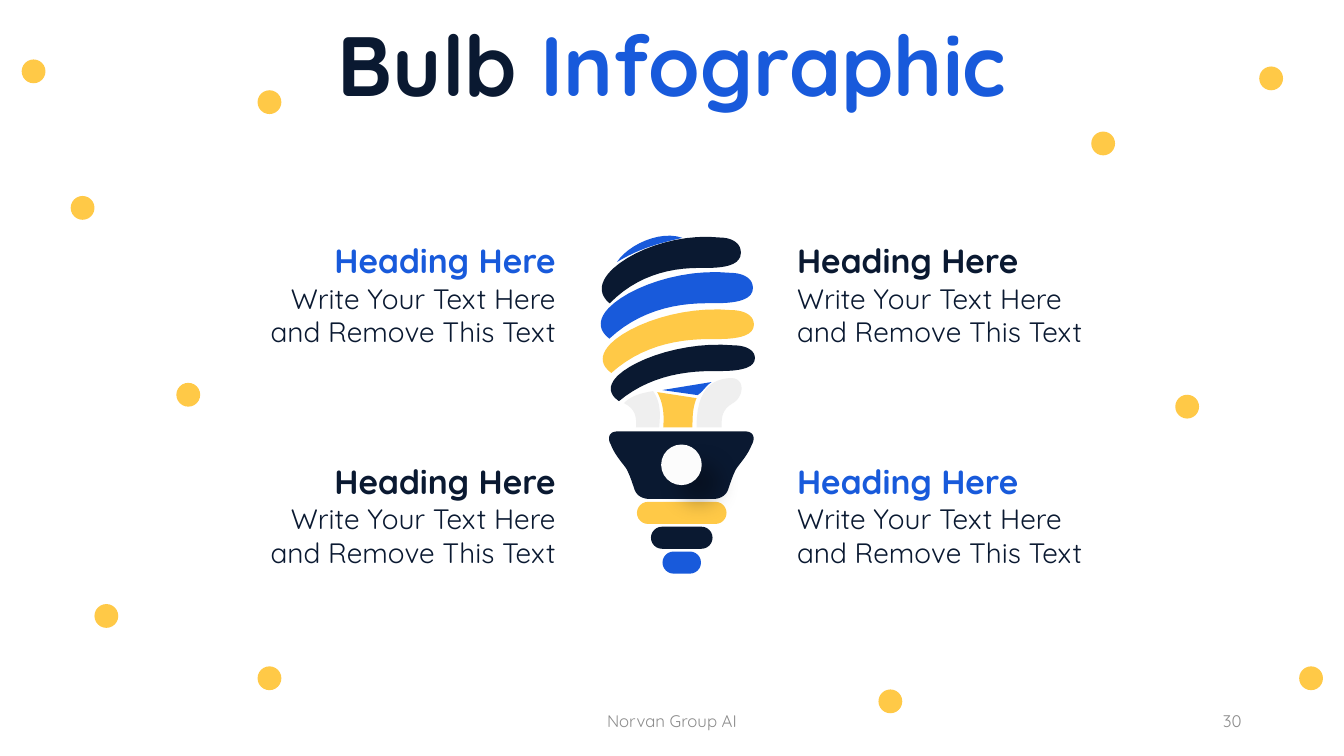
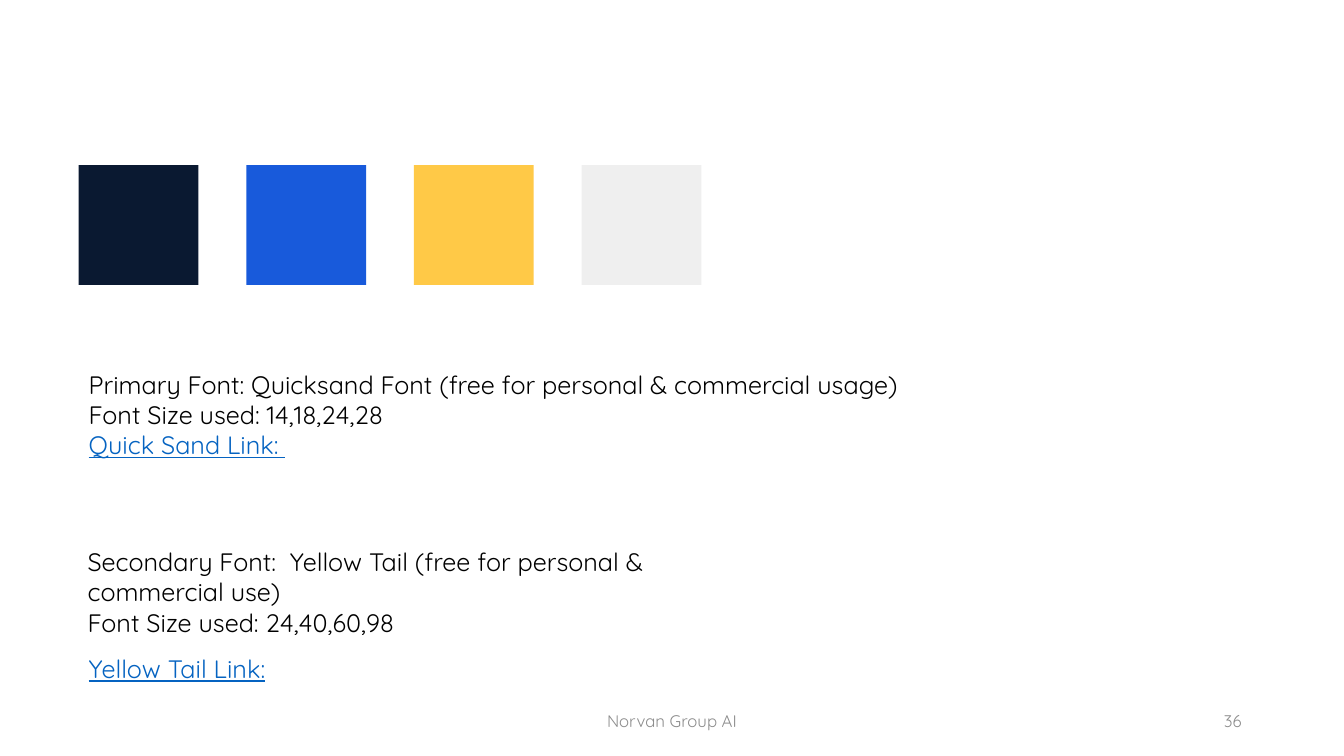
from dataclasses import dataclass

from lxml import etree
from pptx import Presentation
from pptx.dml.color import RGBColor
from pptx.enum.shapes import MSO_SHAPE
from pptx.enum.text import MSO_ANCHOR, MSO_AUTO_SIZE, PP_ALIGN
from pptx.oxml.ns import qn
from pptx.shapes.autoshape import Shape
from pptx.slide import Slide
from pptx.util import Pt

# Shared style
NAVY = RGBColor(0x0A, 0x19, 0x31)
BLUE = RGBColor(0x18, 0x5A, 0xDB)
GOLD = RGBColor(0xFF, 0xC9, 0x47)
PALE = RGBColor(0xEF, 0xEF, 0xEF)
PEARL = RGBColor(0xFC, 0xFC, 0xFC)
GRAY = RGBColor(0x8C, 0x8C, 0x8C)
BLACK = RGBColor(0x00, 0x00, 0x00)
LINK = RGBColor(0x05, 0x63, 0xC1)

LEFT, MID, RIGHT = PP_ALIGN.LEFT, PP_ALIGN.CENTER, PP_ALIGN.RIGHT
TOP, CENTER = MSO_ANCHOR.TOP, MSO_ANCHOR.MIDDLE
GROW, FIXED = MSO_AUTO_SIZE.SHAPE_TO_FIT_TEXT, MSO_AUTO_SIZE.NONE
RECT, OVAL, PILL = MSO_SHAPE.RECTANGLE, MSO_SHAPE.OVAL, MSO_SHAPE.ROUNDED_RECTANGLE

FONT = "Quicksand"
GRID = 0.72  # points per outline unit
STEPS = 12  # line segments per curve

Row = tuple[int, ...]
Dots = list[tuple[float, float]]


@dataclass(frozen=True)
class Box:
    left: float
    top: float
    width: float
    height: float

    def place(self) -> tuple[Pt, Pt, Pt, Pt]:
        return Pt(self.left), Pt(self.top), Pt(self.width), Pt(self.height)


@dataclass(frozen=True)
class Run:
    text: str
    size: float
    color: RGBColor
    bold: bool = False
    line: bool = False


@dataclass(frozen=True)
class Part:
    """A closed outline: rows of two numbers are lines, rows of six are curves."""
    color: RGBColor
    rows: tuple[Row, ...]


@dataclass(frozen=True)
class Coil:
    color: RGBColor
    box: Box


@dataclass(frozen=True)
class Note:
    left: float
    top: float
    align: PP_ALIGN
    color: RGBColor


# Drawing helpers
def paint(shape: Shape, color: RGBColor) -> None:
    shape.shadow.inherit = False
    shape.fill.solid()
    shape.fill.fore_color.rgb = color
    shape.line.fill.background()


def draw(slide: Slide, kind: MSO_SHAPE, box: Box, color: RGBColor) -> Shape:
    shape = slide.shapes.add_shape(kind, *box.place())
    paint(shape, color)
    return shape


def write(slide: Slide, box: Box, lines: list[list[Run]], align: PP_ALIGN = LEFT,
          wrap: bool = True, size: MSO_AUTO_SIZE = GROW,
          anchor: MSO_ANCHOR = TOP) -> None:
    frame = slide.shapes.add_textbox(*box.place()).text_frame
    look = {"word_wrap": wrap, "auto_size": size, "vertical_anchor": anchor}
    for name, value in look.items():
        setattr(frame, name, value)
    for index, runs in enumerate(lines):
        para = frame.add_paragraph() if index else frame.paragraphs[0]
        para.alignment = align
        for item in runs:
            run = para.add_run()
            run.text = item.text
            style = {"name": FONT, "size": Pt(item.size),
                     "bold": item.bold, "underline": item.line}
            for name, value in style.items():
                setattr(run.font, name, value)
            run.font.color.rgb = item.color


def trace(rows: tuple[Row, ...]) -> Dots:
    """Turn lines and cubic curves into points."""
    dots = [rows[0]]
    for row in rows[1:]:
        if len(row) == 2:
            dots.append(row)
            continue
        a, b, c, d = dots[-1], row[:2], row[2:4], row[4:]
        for step in range(1, STEPS + 1):
            t = step / STEPS
            u = 1 - t
            dots.append(tuple(
                u**3 * p + 3 * u * u * t * q + 3 * u * t * t * r + t**3 * s
                for p, q, r, s in zip(a, b, c, d)))
    return dots


def fit(dots: Dots, box: Box) -> Dots:
    """Stretch an outline to fill a box."""
    xs, ys = zip(*dots)
    wide = box.width / (max(xs) - min(xs))
    tall = box.height / (max(ys) - min(ys))
    return [(box.left + (x - min(xs)) * wide, box.top + (y - min(ys)) * tall)
            for x, y in dots]


def carve(slide: Slide, dots: Dots, color: RGBColor) -> None:
    first, *rest = [(Pt(x * GRID), Pt(y * GRID)) for x, y in dots]
    pen = slide.shapes.build_freeform(*first, scale=1.0)
    pen.add_line_segments(rest, close=True)
    paint(pen.convert_to_shape(), color)


def shade(shape: Shape) -> None:
    effects = shape._element.spPr.find(qn("a:effectLst"))
    outer = etree.SubElement(effects, qn("a:outerShdw"), blurRad=str(Pt(15)),
                             dist=str(Pt(18)), dir="2700000", algn="tl",
                             rotWithShape="0")
    tint = etree.SubElement(outer, qn("a:srgbClr"), val=str(BLACK))
    etree.SubElement(tint, qn("a:alpha"), val="30000")


def footer(slide: Slide, page: int) -> None:
    for text, left, width, align in (("Norvan Group AI", 318, 324, MID),
                                     (str(page), 678, 216, RIGHT)):
        write(slide, Box(left, 500.5, width, 28.75), [[Run(text, 12, GRAY)]],
              align, size=FIXED, anchor=CENTER)


# Bulb slide data
DOT = 17
DOTS = ((59, 148.5), (192.5, 73), (24, 51), (636, 501), (936.5, 484.5),
        (788, 102.5), (848, 290.5), (908, 56), (192.5, 484.5),
        (134.5, 282), (76, 440))

AXIS = 487
RINGS = ((64, GOLD), (44, NAVY), (27.5, BLUE))

SWIRL = ((10, 66), (38, 40, 72, 31, 107, 31), (122, 31, 152, 32, 152, 16),
         (152, 4, 138, 1, 130, 1), (80, -4, 28, 16, 9, 36),
         (-4, 50, 2, 60, 10, 66))
COILS = (Coil(BLUE, Box(596, 270, 151, 66)), Coil(GOLD, Box(598, 307, 150, 63)),
         Coil(NAVY, Box(606, 342, 143, 56)), Coil(NAVY, Box(597, 235, 138, 66)))

PARTS = (
    # Neck
    Part(PALE, ((691, 424), (691, 385, 707, 376, 725, 375),
                (740, 375, 738, 394, 727, 400), (715, 407, 716, 416, 716, 424))),
    Part(GOLD, ((658, 424), (659, 411, 658, 400, 652, 389), (691, 395),
                (687, 405, 687, 414, 687, 424))),
    Part(PALE, ((631, 424), (632, 412, 629, 405, 619, 400),
                (627, 392, 637, 390, 648, 388), (656, 400, 655, 412, 654, 424))),
    # Tips of the coil behind
    Part(BLUE, ((612, 260), (623, 243, 655, 228, 677, 236),
                (655, 241, 635, 246, 612, 260))),
    Part(BLUE, ((706, 379), (657, 387), (692, 392), (697, 389, 700, 383, 706, 379))),
)
# Right half of the socket, from its axis
SOCKET = ((676, 428), (739, 428), (749, 428, 749, 436, 746, 441),
          (742, 452, 732, 462, 730, 466), (727, 472, 725, 478, 723, 484),
          (721, 492, 714, 495, 708, 495))

NOTES = (Note(562.25, 167.75, LEFT, NAVY), Note(562.25, 325.5, LEFT, BLUE),
         Note(166.25, 167.75, RIGHT, BLUE), Note(166.25, 325.5, RIGHT, NAVY))
WIDE, HEAD = 237.75, 177


def bulb(slide: Slide) -> None:
    for x, y in DOTS:
        draw(slide, OVAL, Box(x - DOT / 2, y - DOT / 2, DOT, DOT), GOLD)
    for index, (width, color) in enumerate(RINGS):
        box = Box(AXIS - width / 2, 358.5 + 17.75 * index, width, 15.75)
        draw(slide, PILL, box, color).adjustments[0] = 0.5
    for coil in COILS:
        carve(slide, fit(trace(SWIRL), coil.box), coil.color)
    for part in PARTS:
        carve(slide, trace(part.rows), part.color)
    half = trace(SOCKET)
    turn = 2 * half[0][0]
    carve(slide, half + [(turn - x, y) for x, y in reversed(half)], NAVY)
    shade(draw(slide, OVAL, Box(472.25, 317.5, 29, 29), PEARL))

    for note in NOTES:
        write(slide, Box(note.left, note.top + 29.5, WIDE, 55.5),
              [[Run("Write Your Text Here and Remove This Text", 20, NAVY)]],
              note.align)
        shift = WIDE - HEAD if note.align == RIGHT else 0
        write(slide, Box(note.left + shift, note.top, HEAD, 36),
              [[Run("Heading Here", 24, note.color, bold=True)]],
              note.align, wrap=False)
    write(slide, Box(200.25, 5.75, 559.5, 80),
          [[Run("Bulb", 60, NAVY, bold=True),
            Run(" Infographic", 60, BLUE, bold=True)]], MID)


# Style guide slide
def guide(slide: Slide) -> None:
    for index, color in enumerate((NAVY, BLUE, GOLD, PALE)):
        draw(slide, RECT, Box(56.25 + 119.75 * index, 118, 85.5, 85.5), color)
    write(slide, Box(56.25, 260, 880.5, 94.25), [
        [Run("Primary Font: Quicksand Font (free for personal & commercial usage)",
             18, BLACK)],
        [Run("Font Size used: 14,18,24,28", 18, BLACK)],
        [Run("Quick Sand Link: ", 18, LINK, line=True)]])
    write(slide, Box(56.25, 463, 239.75, 28.75),
          [[Run("Yellow Tail Link:", 18, LINK, line=True)]])
    write(slide, Box(55.5, 386.75, 472.25, 72.75), [
        [Run("Secondary Font:  Yellow Tail (free for personal & commercial use)",
             18, BLACK)],
        [Run("Font Size used: 24,40,60,98", 18, BLACK)]])


# Build the deck
deck = Presentation()
deck.slide_width, deck.slide_height = Pt(960), Pt(540)
for fill, page in ((bulb, 30), (guide, 36)):
    slide = deck.slides.add_slide(deck.slide_layouts[6])
    fill(slide)
    footer(slide, page)
deck.save("out.pptx")
